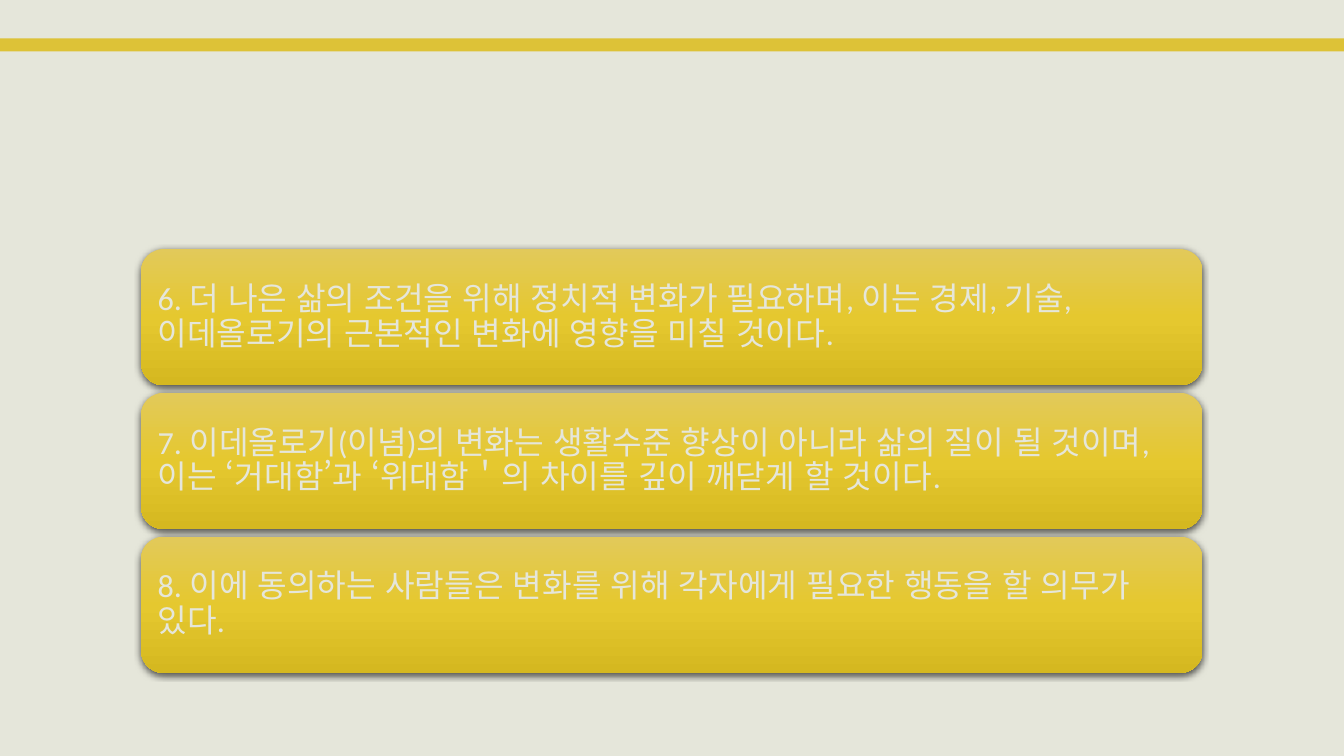
import copy

import lxml.etree
import pptx
import pptx.dml.color
import pptx.enum.lang
import pptx.enum.shapes
import pptx.enum.text
import pptx.oxml
import pptx.oxml.ns
import pptx.util

Pt = pptx.util.Pt
SHAPE = pptx.enum.shapes.MSO_SHAPE


def rgb(value):
    return pptx.dml.color.RGBColor.from_string(value)


prs = pptx.Presentation()
prs.slide_width, prs.slide_height = Pt(960), Pt(540)
slide = prs.slides.add_slide(prs.slide_layouts[6])

# Background
slide.background.fill.solid()
slide.background.fill.fore_color.rgb = rgb("E5E6DA")

# Top band
band = slide.shapes.add_shape(SHAPE.RECTANGLE, 0, Pt(27.4), Pt(960), Pt(9.4))
band.shadow.inherit = False
band.fill.solid()
band.fill.fore_color.rgb = rgb("DDC237")
band.line.fill.background()

# Statement cards
statements = [
    "6. 더 나은 삶의 조건을 위해 정치적 변화가 필요하며, 이는 경제, 기술, 이데올로기의 근본적인 변화에 영향을 미칠 것이다.",
    "7. 이데올로기(이념)의 변화는 생활수준 향상이 아니라 삶의 질이 될 것이며, 이는 ‘거대함’과 ‘위대함＇의 차이를 깊이 깨닫게 할 것이다.",
    "8. 이에 동의하는 사람들은 변화를 위해 각자에게 필요한 행동을 할 의무가 있다.",
]
gradient = [(0, "E2C95A"), (0.5, "E5C82F"), (1, "D5B820")]
shadow_xml = (
    f'<a:outerShdw {pptx.oxml.ns.nsdecls("a")} blurRad="{Pt(4.5)}" '
    f'dist="{Pt(1.5)}" dir="5400000" algn="ctr" rotWithShape="0">'
    '<a:srgbClr val="000000"><a:alpha val="63000"/></a:srgbClr></a:outerShdw>'
)
for i, statement in enumerate(statements):
    sp = slide.shapes.add_shape(
        SHAPE.ROUNDED_RECTANGLE, Pt(100.8), Pt(177.9 + 102.7 * i), Pt(758.2), Pt(97.4))
    sp.line.fill.background()

    # Vertical three-stop gradient
    sp.fill.gradient()
    stops = sp._element.spPr.find(".//" + pptx.oxml.ns.qn("a:gsLst"))
    stops.append(copy.deepcopy(stops[0]))
    for stop, (position, color) in zip(sp.fill.gradient_stops, gradient):
        stop.position = position
        stop.color.rgb = rgb(color)
    sp.fill.gradient_angle = 270

    # Soft shadow below the card
    sp.shadow.inherit = False
    effects = sp._element.spPr.find(pptx.oxml.ns.qn("a:effectLst"))
    effects.append(pptx.oxml.parse_xml(shadow_xml))

    # Text
    tf = sp.text_frame
    tf.word_wrap = True
    tf.vertical_anchor = pptx.enum.text.MSO_ANCHOR.MIDDLE
    tf.margin_left = tf.margin_right = tf.margin_top = tf.margin_bottom = Pt(7.2)
    p = tf.paragraphs[0]
    p.alignment = pptx.enum.text.PP_ALIGN.LEFT
    p.line_spacing = 0.9
    r = p.add_run()
    r.text = statement
    r.font.name = "Calibri"
    r.font.size = Pt(23)
    r.font.color.rgb = rgb("E5E6DA")
    r.font.language_id = pptx.enum.lang.MSO_LANGUAGE_ID.KOREAN

prs.save("out.pptx")
